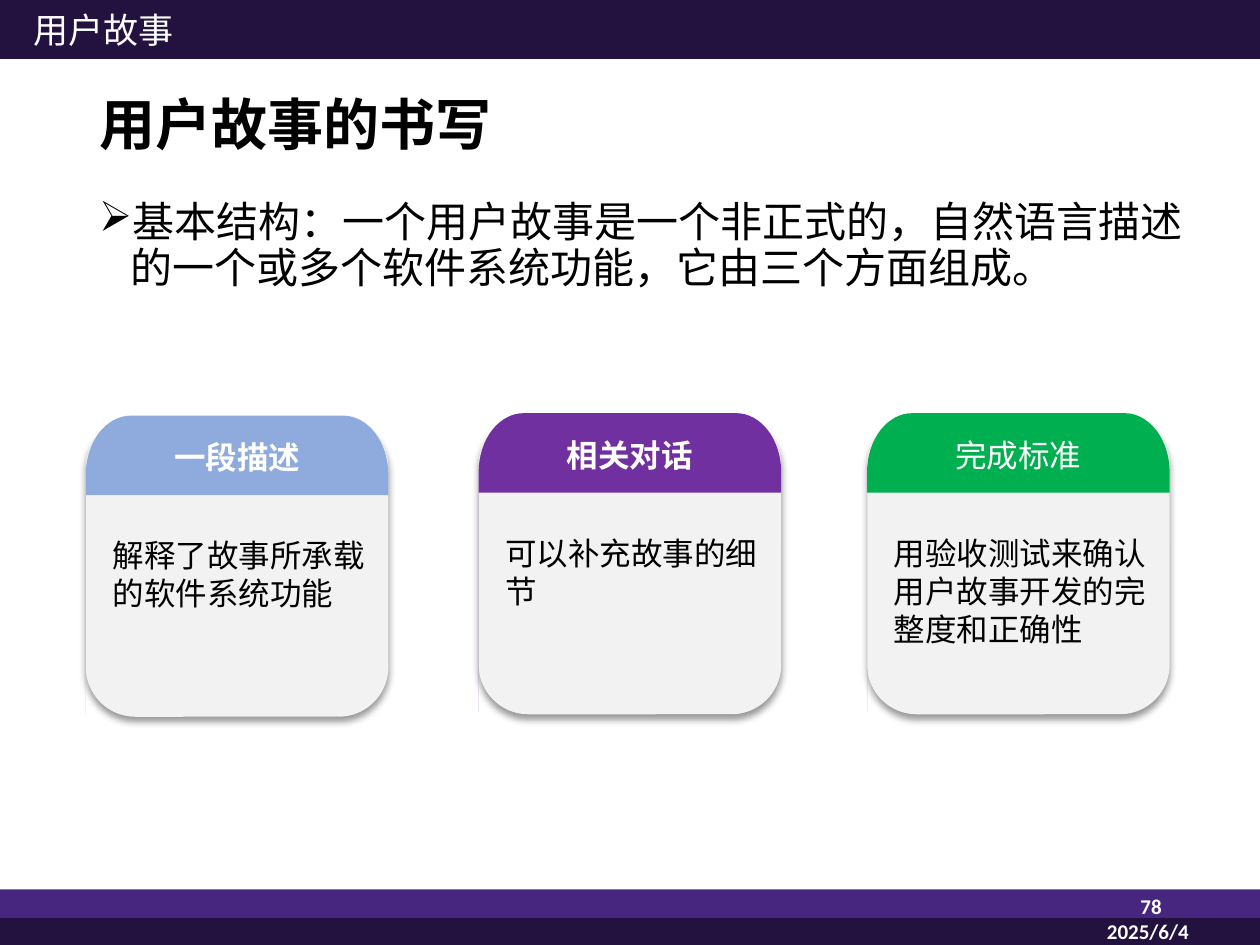
from dataclasses import dataclass
from math import cos, pi, sin

from lxml.etree import SubElement
from pptx import Presentation
from pptx.dml.color import RGBColor
from pptx.enum.shapes import MSO_SHAPE
from pptx.enum.text import MSO_ANCHOR, PP_ALIGN
from pptx.oxml.ns import qn
from pptx.util import Cm, Pt

CJK = "Noto Sans CJK SC"
CARD_WIDTH, CARD_HEIGHT = 6.1, 6.02
HEADER_HEIGHT = 1.6
CORNER_X, CORNER_Y = 0.91, 1.19


@dataclass
class Card:
    left: float
    top: float
    color: str
    title: str
    bold: bool
    detail: str
    detail_height: float


CARDS = [
    Card(17.48, 8.33, "00B050", "完成标准", False,
         "用验收测试来确认用户故事开发的完整度和正确性", 2.57),
    Card(9.65, 8.33, "7030A0", "相关对话", True, "可以补充故事的细节", 1.8),
    Card(1.73, 8.38, "8FAADC", "一段描述", True,
         "解释了故事所承载的软件系统功能", 1.8),
]


def paint(shape, color: str) -> None:
    shape.shadow.inherit = False
    shape.fill.solid()
    shape.fill.fore_color.rgb = RGBColor.from_string(color)
    shape.line.fill.background()


def add_block(page, kind, left: float, top: float, width: float, height: float, color: str):
    shape = page.shapes.add_shape(kind, Cm(left), Cm(top), Cm(width), Cm(height))
    paint(shape, color)
    return shape


def add_text(page, text: str, left: float, top: float, width: float, height: float,
             size: float, color: str = "000000", bold: bool = False, font: str = CJK,
             align=PP_ALIGN.LEFT, anchor=MSO_ANCHOR.TOP, wrap: bool = True,
             spacing: float = 1.0, bullet: str = "") -> None:
    box = page.shapes.add_textbox(Cm(left), Cm(top), Cm(width), Cm(height))
    frame = box.text_frame
    frame.word_wrap = wrap
    frame.vertical_anchor = anchor
    para = frame.paragraphs[0]
    para.text = text
    para.alignment = align
    para.line_spacing = spacing
    properties = para._p.get_or_add_pPr()
    if bullet:
        properties.set("marL", str(Cm(0.64)))
        properties.set("indent", str(-Cm(0.64)))
        SubElement(properties, qn("a:buChar"), char=bullet)
    para.font.size = Pt(size)
    para.font.bold = bold
    para.font.name = font
    para.font.color.rgb = RGBColor.from_string(color)
    # East Asian characters take their own typeface
    SubElement(properties.find(qn("a:defRPr")), qn("a:ea"), typeface=font)


def add_soft_shadow(shape) -> None:
    effects = shape._element.spPr.find(qn("a:effectLst"))
    shadow = SubElement(effects, qn("a:outerShdw"), blurRad=str(Pt(4)), dist=str(Pt(3)),
                        dir="5400000", algn="t", rotWithShape="0")
    color = SubElement(shadow, qn("a:srgbClr"), val="000000")
    SubElement(color, qn("a:alpha"), val="40000")


def add_header(page, card: Card) -> None:
    """Band with elliptical top corners and a thin tail down the left edge."""
    right = card.left + CARD_WIDTH
    angles = [pi / 2 * step / 16 for step in range(17)]
    center_y = card.top + CORNER_Y
    left_arc = [(card.left + CORNER_X * (1 - cos(angle)), center_y - CORNER_Y * sin(angle))
                for angle in angles]
    right_arc = [(right - CORNER_X * (1 - sin(angle)), center_y - CORNER_Y * cos(angle))
                 for angle in angles]
    band_bottom = card.top + HEADER_HEIGHT
    points = left_arc + right_arc + [
        (right, band_bottom), (card.left, band_bottom), (card.left, card.top + CARD_HEIGHT)]
    start, *rest = [(Cm(x), Cm(y)) for x, y in points]
    builder = page.shapes.build_freeform(*start)
    builder.add_line_segments(rest, close=True)
    paint(builder.convert_to_shape(), card.color)


def add_card(page, card: Card) -> None:
    body = add_block(page, MSO_SHAPE.ROUNDED_RECTANGLE, card.left, card.top + 0.05,
                     CARD_WIDTH, CARD_HEIGHT, "F2F2F2")
    add_soft_shadow(body)
    add_header(page, card)
    add_text(page, card.title, card.left + 0.28, card.top + 0.33, 5.54, 1.02, 18,
             color="FFFFFF", bold=card.bold, align=PP_ALIGN.CENTER)
    add_text(page, card.detail, card.left + 0.29, card.top + 2.31, 5.79,
             card.detail_height, 18)


def main() -> None:
    deck = Presentation()
    deck.slide_width, deck.slide_height = Cm(25.4), Cm(19.05)
    page = deck.slides.add_slide(deck.slide_layouts[6])

    # Top and bottom bars
    for top, height, color in [(17.93, 0.6, "472680"), (18.51, 0.54, "231240"),
                               (0, 1.19, "231240")]:
        add_block(page, MSO_SHAPE.RECTANGLE, 0, top, 25.4, height, color)

    # Page number and date
    add_text(page, "78", 22.02, 17.88, 1.65, 1.52, 12, "FFFFFF", True, "Calibri",
             PP_ALIGN.RIGHT)
    add_text(page, "2025/6/4", 21.69, 18.39, 2.9, 1.02, 12, "FFFFFF", True, "Calibri",
             PP_ALIGN.CENTER)

    # Title, body and section label
    add_text(page, "用户故事的书写", 1.75, 1.65, 21.89, 1.83, 32, bold=True,
             anchor=MSO_ANCHOR.MIDDLE, spacing=0.9)
    add_text(page, "基本结构：一个用户故事是一个非正式的，自然语言描述的一个或多个软件系统功能，它由三个方面组成。",
             1.75, 3.94, 22.38, 13.23, 24, spacing=0.9, bullet="➢")
    add_text(page, "用户故事", 0.43, 0.05, 3.35, 1.12, 20, "FFFFFF", wrap=False)

    # Three cards
    for card in CARDS:
        add_card(page, card)

    deck.save("out.pptx")


if __name__ == "__main__":
    main()
